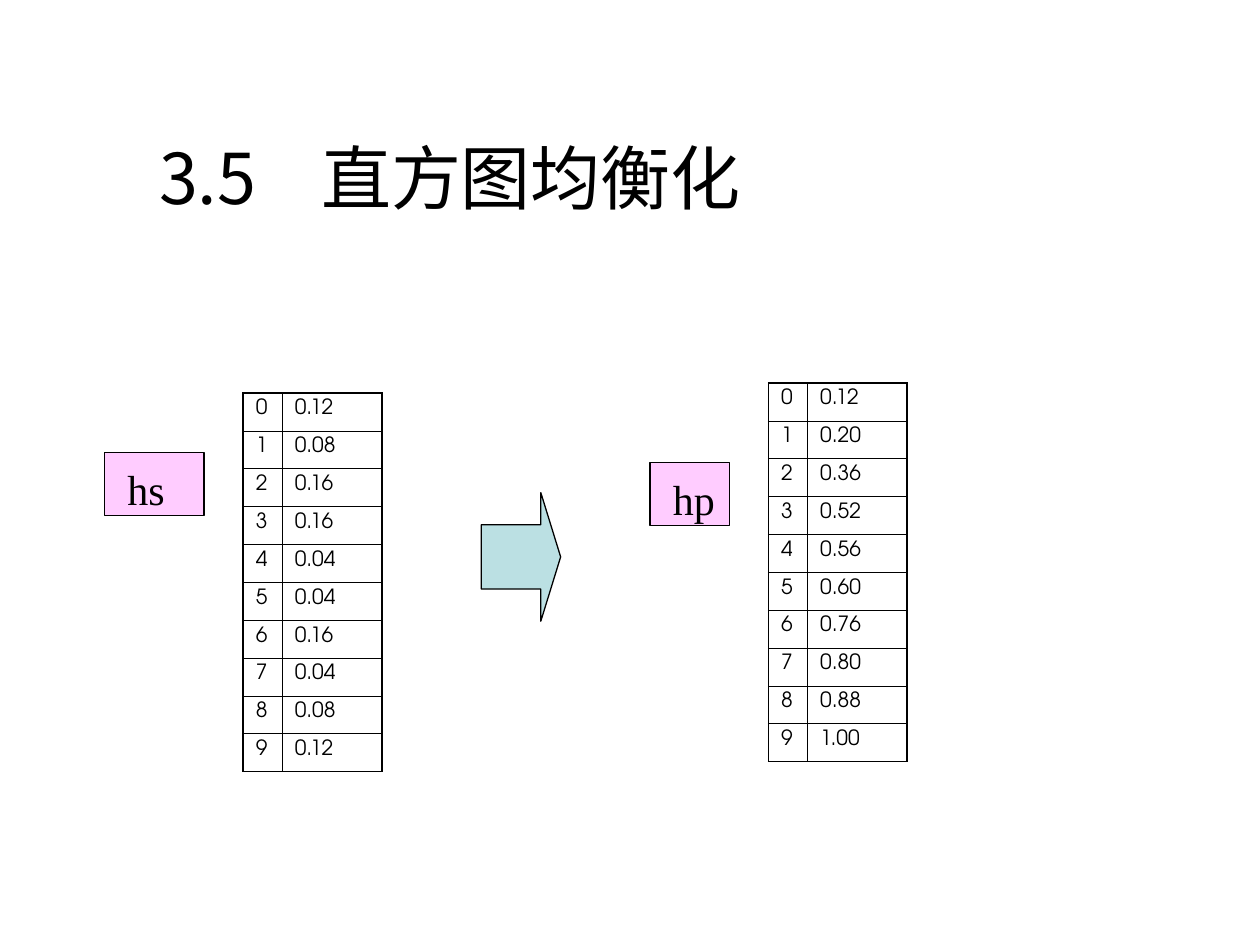
import pptx
import pptx.util
import pptx.dml.color
import pptx.enum.shapes
import pptx.enum.text
import pptx.oxml
import pptx.oxml.ns
from pptx.util import Inches

HUES = {"ink": "000000", "pink": "FFCCFF", "teal": "BBE0E3"}
SANS = "TeX Gyre Adventor"
HAN = "Noto Sans CJK SC"
SERIF = "Times New Roman"
THICK, THIN = 1.08, 0.45


def hue(name):
    return pptx.dml.color.RGBColor.from_string(HUES[name])


def node(xml):
    space = pptx.oxml.ns.nsdecls("a")
    return pptx.oxml.parse_xml(xml.replace("/>", f" {space}/>", 1) if xml.endswith("/>") and xml.count("<") == 1
                               else xml.replace(">", f" {space}>", 1))


def write(para, text, size=12, font=SANS, color="ink"):
    run = para.add_run()
    run.text = text
    run.font.size = pptx.util.Pt(size)
    run.font.color.rgb = hue(color)
    run.font.name = font
    run.font._element.append(node(f'<a:ea typeface="{font}"/>'))


class Deck:
    def __init__(self):
        self.show = pptx.Presentation()
        self.show.slide_width = Inches(10)
        self.show.slide_height = Inches(7.5)
        self.page = self.show.slides.add_slide(self.show.slide_layouts[6])

    def title(self, num, text, left, top, width, height, stop):
        box = self.page.shapes.add_textbox(
            Inches(left), Inches(top), Inches(width), Inches(height))
        frame = box.text_frame
        frame.word_wrap = True
        frame.vertical_anchor = pptx.enum.text.MSO_ANCHOR.MIDDLE
        para = frame.paragraphs[0]
        tabs = node(f'<a:tabLst><a:tab pos="{Inches(stop)}" algn="l"/></a:tabLst>')
        para._p.get_or_add_pPr().append(tabs)
        write(para, " ", size=48)
        write(para, f"{num}\t{text}", size=40, font=HAN)

    def shape(self, kind, left, top, width, height, fill):
        item = self.page.shapes.add_shape(
            kind, Inches(left), Inches(top), Inches(width), Inches(height))
        item.shadow.inherit = False
        item.fill.solid()
        item.fill.fore_color.rgb = hue(fill)
        item.line.color.rgb = hue("ink")
        item.line.width = pptx.util.Pt(0.75)
        return item

    def label(self, text, left, top, width):
        kind = pptx.enum.shapes.MSO_SHAPE.RECTANGLE
        frame = self.shape(kind, left, top, width, 0.5, "pink").text_frame
        frame.word_wrap = True
        frame.vertical_anchor = pptx.enum.text.MSO_ANCHOR.TOP
        frame.margin_top = Inches(0.09)
        frame.margin_right = frame.margin_bottom = 0
        para = frame.paragraphs[0]
        para.alignment = pptx.enum.text.PP_ALIGN.LEFT
        write(para, f" {text}", size=24, font=SERIF)

    def arrow(self, left, top, width, height):
        kind = pptx.enum.shapes.MSO_SHAPE.RIGHT_ARROW
        item = self.shape(kind, left, top, width, height, "teal")
        item.adjustments[0] = 0.5
        item.adjustments[1] = 0.25

    def border(self, cell, edges):
        props = cell._tc.get_or_add_tcPr()
        for side, thick in edges.items():
            width = pptx.util.Pt(THICK if thick else THIN)
            props.append(node(
                f'<a:ln{side} w="{width}"><a:solidFill>'
                f'<a:srgbClr val="{HUES["ink"]}"/></a:solidFill></a:ln{side}>'))

    def table(self, values, left, top):
        count = len(values)
        grid = self.page.shapes.add_table(
            count, 2, Inches(left), Inches(top), Inches(1.1), Inches(2.99)).table
        grid.first_row = grid.horz_banding = False
        for col, width in zip(grid.columns, (0.31, 0.79)):
            col.width = Inches(width)
        for row, value in enumerate(values):
            for col, text in enumerate((str(row), f"{value:.2f}")):
                cell = grid.cell(row, col)
                write(cell.text_frame.paragraphs[0], text)
                self.border(cell, {"L": col == 0, "R": col == 1,
                                   "T": row == 0, "B": row == count - 1})
                cell.fill.background()


def main():
    source = [0.12, 0.08, 0.16, 0.16, 0.04, 0.04, 0.16, 0.04, 0.08, 0.12]
    total = [0.12, 0.20, 0.36, 0.52, 0.56, 0.60, 0.76, 0.80, 0.88, 1.00]
    deck = Deck()
    deck.title("3.5", "直方图均衡化", 0.98, 1.04, 6.55, 0.63, stop=1.47)
    deck.label("hs", 0.83, 3.59, 0.79)
    deck.arrow(3.82, 3.91, 0.63, 1.02)
    deck.label("hp", 5.16, 3.67, 0.63)
    deck.table(source, 1.93, 3.12)
    deck.table(total, 6.1, 3.04)
    deck.show.save("out.pptx")


if __name__ == "__main__":
    main()
